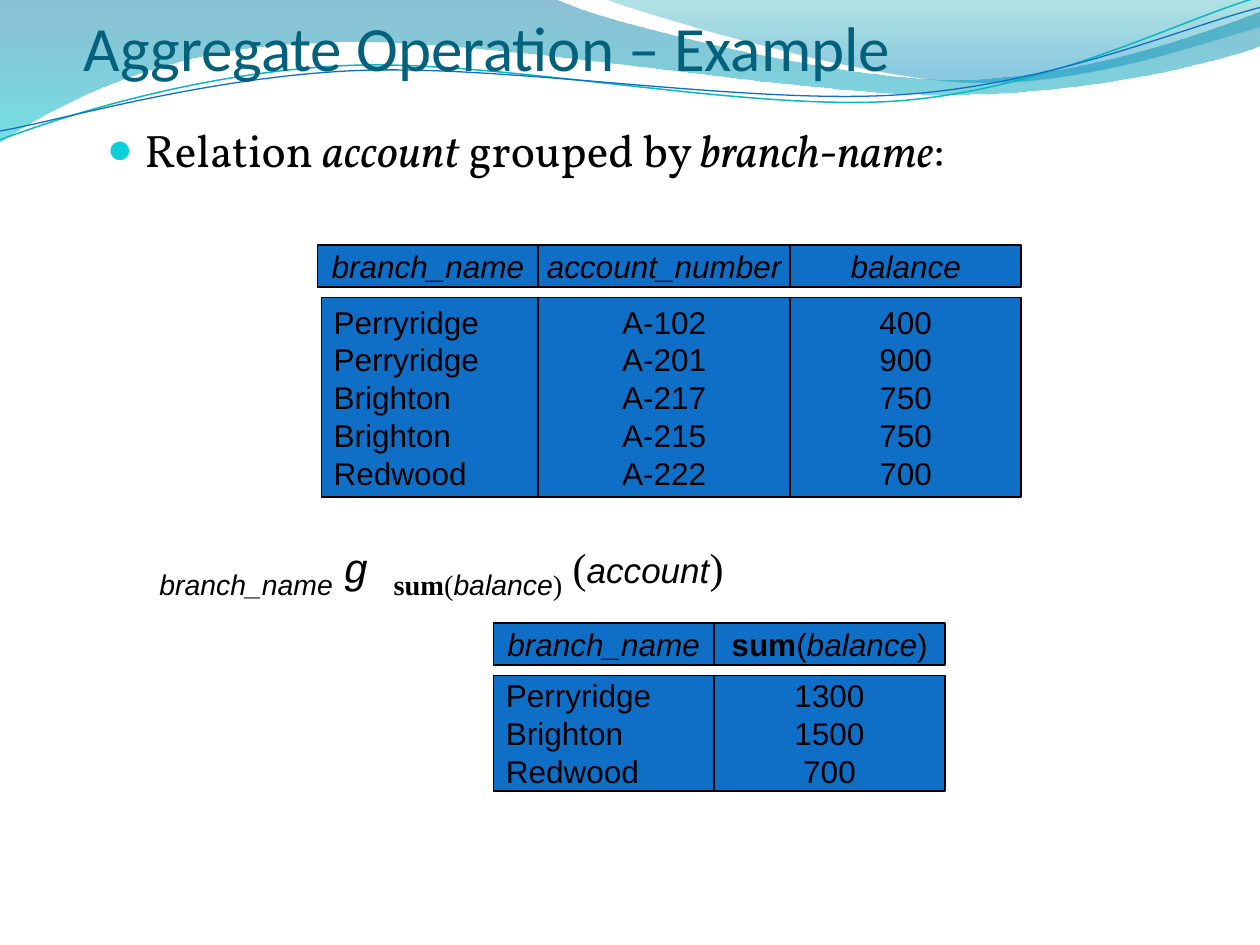
from dataclasses import dataclass
from math import cos, radians, sin
from lxml import etree
from pptx import Presentation
from pptx.dml.color import RGBColor
from pptx.enum.shapes import MSO_SHAPE
from pptx.enum.text import MSO_ANCHOR, PP_ALIGN
from pptx.oxml.ns import qn
from pptx.util import Inches, Pt

RECT = MSO_SHAPE.RECTANGLE
LEFT, MID = PP_ALIGN.LEFT, PP_ALIGN.CENTER
TOP, CORE, BASE = MSO_ANCHOR.TOP, MSO_ANCHOR.MIDDLE, MSO_ANCHOR.BOTTOM
WIDE, HIGH = Inches(10), Inches(7.5)
UNIT = WIDE / 120
TENTH = WIDE / 10
TILT = 2.7


@dataclass(frozen=True)
class Theme:
    ink: str = "000000"
    title: str = "04617B"
    blue: str = "0F6FC6"
    teal: str = "0AB8BF"
    dot: str = "0BD0D9"
    deep: tuple = ((0, "0074A1", 45), (1, "00C6CF", 55))
    pale: tuple = ((0, "00A1A9", 30), (0.8, "008BBF", 45))
    head: int = 36
    body: int = 26
    sub: int = 28
    math: int = 24
    term: int = 20
    cell: int = 18
    sans: str = "Arial"
    serif: str = "Times New Roman"
    mono: str = "Courier New"
    text: str = "Vollkorn"
    display: str = "Calibri"


LOOK = Theme()


def rgb(code):
    return RGBColor.from_string(code)


def grid(*cells):
    return [round(cell * UNIT) for cell in cells]


def write(frame, lines, align=LEFT, anchor=TOP, wrap=True, **form):
    frame.word_wrap = wrap
    frame.vertical_anchor = anchor
    for num, line in enumerate(lines):
        para = frame.add_paragraph() if num else frame.paragraphs[0]
        para.alignment = align
        for text, extra in line:
            style = {"color": LOOK.ink, **form, **extra}
            run = para.add_run()
            run.text = text
            font = run.font
            font.name = style["face"]
            font.size = Pt(style["size"])
            font.bold = style.get("bold", False)
            font.italic = style.get("slant", False)
            font.color.rgb = rgb(style["color"])
            if "shift" in style:
                font._element.set("baseline", str(style["shift"] * 1000))


def label(slide, place, line, **form):
    frame = slide.shapes.add_textbox(*grid(*place)).text_frame
    write(frame, [line], **form)
    return frame


def bullet(para):
    para.space_before = Pt(5)
    props = para._p.get_or_add_pPr()
    props.set("marL", str(Inches(0.3)))
    props.set("indent", str(-Inches(0.3)))
    tint = etree.SubElement(props, qn("a:buClr"))
    etree.SubElement(tint, qn("a:srgbClr"), val=LOOK.dot)
    etree.SubElement(props, qn("a:buSzPct"), val="95000")
    etree.SubElement(props, qn("a:buFont"), typeface=LOOK.sans)
    etree.SubElement(props, qn("a:buChar"), char="●")


def cell(slide, place, lines, align):
    box = slide.shapes.add_shape(RECT, *grid(*place))
    box.shadow.inherit = False
    box.fill.solid()
    box.fill.fore_color.rgb = rgb(LOOK.blue)
    box.line.color.rgb = rgb(LOOK.ink)
    box.line.width = Pt(0.75)
    write(box.text_frame, lines, align, CORE, False,
          face=LOOK.sans, size=LOOK.cell)


def table(slide, left, top, cols, nudge=0):
    spot = left
    for wide, head, _ in cols:
        cell(slide, (spot, top, wide, 4), [head], MID)
        spot += wide
    spot = left
    for num, (wide, _, items) in enumerate(cols):
        place = (spot if num else spot + nudge, top + 5,
                 wide, 4 * len(items) - 1)
        cell(slide, place, [[(item, {})] for item in items],
             MID if num else LEFT)
        spot += wide


def trace(slide, start, parts, closed):
    pts = [(round(x * 1000), round(y * 1000))
           for x, y in [start, *(pt for part in parts for pt in part)]]
    pen = slide.shapes.build_freeform(*pts[0], scale=TENTH / 1000)
    pen.add_line_segments(pts[1:], closed)
    form = pen.convert_to_shape()
    form.shadow.inherit = False
    lines = iter(list(form.element.iter(qn("a:lnTo"))))
    for part in parts:
        steps = [next(lines) for _ in part]
        if len(steps) == 3:
            curve = etree.Element(qn("a:cubicBezTo"))
            steps[0].addprevious(curve)
            for step in steps:
                curve.append(step[0])
                step.getparent().remove(step)
    return form


def wave(slide, start, parts, stops):
    form = trace(slide, start, parts, True)
    form.line.fill.background()
    form.fill.gradient()
    form.fill.gradient_angle = 270
    for stop, (place, code, _) in zip(form.fill.gradient_stops, stops):
        stop.position = place
        stop.color.rgb = rgb(code)
    for tint, (_, _, share) in zip(form.element.iter(qn("a:srgbClr")), stops):
        etree.SubElement(tint, qn("a:alpha"), val=str(share * 1000))


def turn(point, pivot):
    x, y = (a - b for a, b in zip(point, pivot))
    c, s = cos(radians(TILT)), sin(radians(TILT))
    return pivot[0] + x * c - y * s, pivot[1] + x * s + y * c


def strand(slide, pivot, start, parts, code, width):
    parts = [[turn(pt, pivot) for pt in part] for part in parts]
    form = trace(slide, turn(start, pivot), parts, False)
    form.rotation = 360 - TILT
    form.fill.background()
    form.line.color.rgb = rgb(code)
    form.line.width = Pt(width)


def scene(slide):
    wave(slide, (0, 0), [
        [(4.4, -0.01)],
        [(4.76, 0.17), (6.64, 0.63), (7.58, 0.63)],
        [(8.53, 0.63), (9.58, 0.26), (10, 0.09)],
        [(10.01, 0.36)],
        [(9.83, 0.44), (8.7, 0.76), (7.46, 0.75)],
        [(6.22, 0.75), (3.82, 0.28), (2.57, 0.34)],
        [(1.29, 0.36), (0.46, 0.83), (-0.01, 1.13)],
        [(0, 0)]], LOOK.deep)
    wave(slide, (4.79, -0.01), [
        [(5.09, 0.11), (6.82, 0.62), (7.69, 0.65)],
        [(8.56, 0.69), (9.61, 0.32), (10, 0.21)],
        [(10, 0)], [(4.79, -0.01)]], LOOK.pale)
    strand(slide, (4.99, 0.58), (0, 1.11), [
        [(0.48, 0.93), (1.58, 0.57), (2.77, 0.52)],
        [(3.95, 0.47), (5.93, 0.89), (7.13, 0.8)],
        [(8.33, 0.71), (9.38, 0.15), (9.98, -0.02)]], LOOK.teal, 0.85)
    strand(slide, (5, 0.59), (0, 1.04), [
        [(0.47, 0.96), (1.64, 0.61), (2.83, 0.56)],
        [(4.03, 0.51), (5.97, 0.84), (7.17, 0.75)],
        [(8.36, 0.67), (9.41, 0.21), (10, 0.06)]], LOOK.blue, 0.75)


def main():
    deck = Presentation()
    deck.slide_width, deck.slide_height = WIDE, HIGH
    slide = deck.slides.add_slide(deck.slide_layouts[6])
    scene(slide)

    slant = {"slant": True}
    title = label(slide, (8, 2, 102, 6), [("Aggregate Operation – Example", {})],
                  anchor=BASE, face=LOOK.display, size=LOOK.head,
                  color=LOOK.title)
    title.margin_left = title.margin_right = title.margin_bottom = 0
    lead = label(slide, (9, 11, 91.3, 13), [
        ("Relation ", {}), ("account", slant), (" grouped by ", {}),
        ("branch-name", slant), (":", {})], face=LOOK.text, size=LOOK.body)
    bullet(lead.paragraphs[0])

    low = {"size": LOOK.sub, "shift": -25}
    name = {"face": LOOK.sans, "slant": True}
    label(slide, (14, 50.3, 92.3, 7.7), [
        ("branch_name", {**low, **name}), (" ", {}),
        ("g ", {"face": LOOK.mono, "slant": True}),
        ("sum", {**low, "bold": True}), ("(", low),
        ("balance", {**low, **name}), (")", low), (" (", {}),
        ("account", {**name, "size": LOOK.term}), (")", {})],
        face=LOOK.serif, size=LOOK.math)

    branch = [("branch_name", slant)]
    table(slide, 30.25, 23.33, [
        (21, branch,
         ["Perryridge", "Perryridge", "Brighton", "Brighton", "Redwood"]),
        (24, [("account_number", slant)],
         ["A-102", "A-201", "A-217", "A-215", "A-222"]),
        (22, [("balance", slant)], ["400", "900", "750", "750", "700"])], 0.35)
    table(slide, 47, 59.33, [
        (21, branch, ["Perryridge", "Brighton", "Redwood"]),
        (22, [("sum", {"bold": True}), ("(", {}), ("balance", slant),
              (")", {})], ["1300", "1500", "700"])])
    deck.save("out.pptx")


if __name__ == "__main__":
    main()
